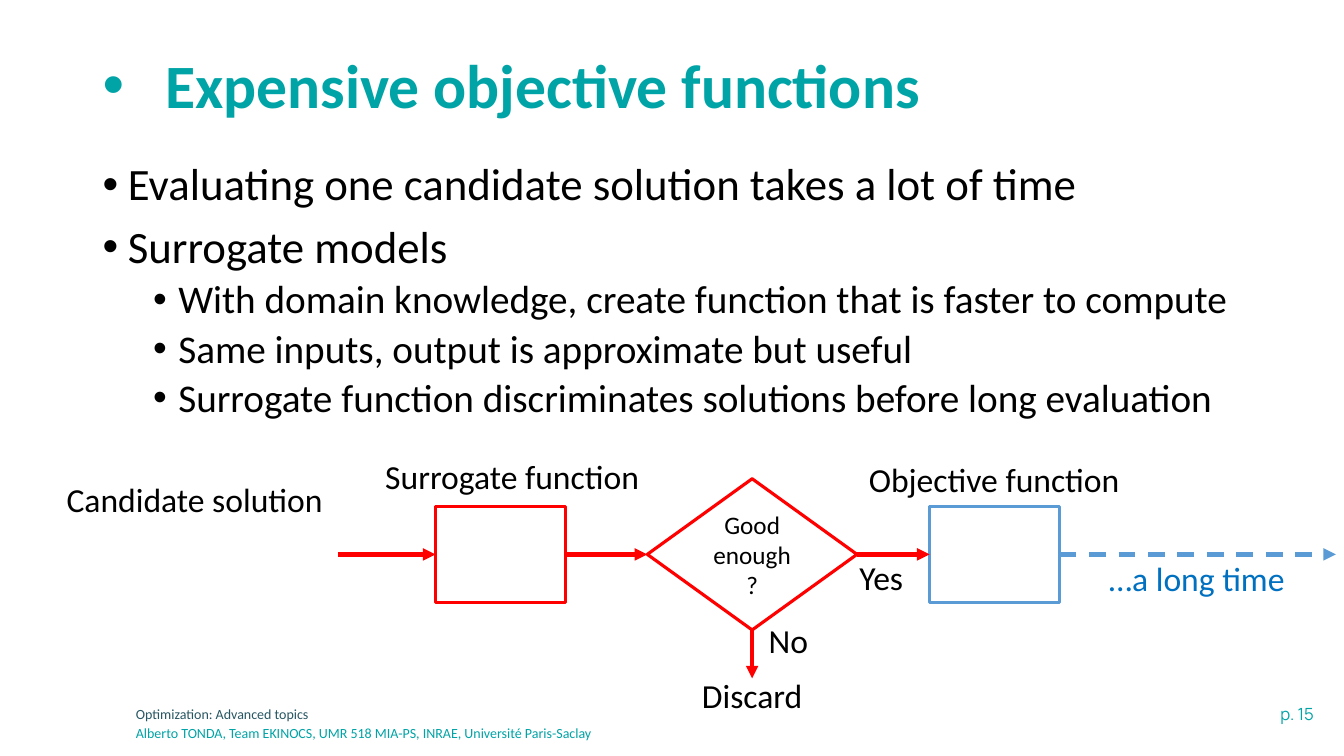
from dataclasses import dataclass
from lxml import etree
from pptx import Presentation
from pptx.dml.color import RGBColor
from pptx.enum.dml import MSO_LINE
from pptx.enum.shapes import MSO_CONNECTOR, MSO_SHAPE
from pptx.enum.text import MSO_ANCHOR, PP_ALIGN
from pptx.oxml.ns import qn
from pptx.util import Inches, Pt

LEFT, MID, RIGHT = PP_ALIGN.LEFT, PP_ALIGN.CENTER, PP_ALIGN.RIGHT
TOP, CENTER = MSO_ANCHOR.TOP, MSO_ANCHOR.MIDDLE
RECT, CHOICE = MSO_SHAPE.RECTANGLE, MSO_SHAPE.FLOWCHART_DECISION
STRAIGHT, DASH = MSO_CONNECTOR.STRAIGHT, MSO_LINE.DASH


@dataclass(frozen=True)
class Theme:
    teal: str = "00A3A6"
    dark: str = "275662"
    black: str = "000000"
    white: str = "FFFFFF"
    red: str = "FF0000"
    blue: str = "5B9BD5"
    deep: str = "0070C0"
    face: str = "Calibri"
    page: str = "Manrope"
    title: int = 44
    body: int = 32
    sub: int = 28
    label: int = 24
    test: int = 18
    number: int = 12
    foot: int = 10
    edge: float = 2.25
    arrow: float = 3


THEME = Theme()


def color(code):
    return RGBColor.from_string(code)


def style(par, size, code=THEME.black, face=THEME.face, bold=False):
    par.font.color.rgb = color(code)
    form = {"name": face, "size": Pt(size), "bold": bold}
    for key, value in form.items():
        setattr(par.font, key, value)


def bullet(par, left, hang):
    """Give a paragraph a hanging round bullet."""
    props = par._p.get_or_add_pPr()
    props.set("marL", str(Inches(left)))
    props.set("indent", str(-Inches(hang)))
    etree.SubElement(props, qn("a:buFont")).set("typeface", "Arial")
    etree.SubElement(props, qn("a:buChar")).set("char", "•")
    par.line_spacing = 0.9


def add_box(slide, box, anchor=TOP):
    frame = slide.shapes.add_textbox(*map(Inches, box)).text_frame
    frame.word_wrap = True
    frame.vertical_anchor = anchor
    return frame


def add_text(slide, box, text, size=THEME.label, align=MID, **form):
    par = add_box(slide, box).paragraphs[0]
    par.text = text
    par.alignment = align
    style(par, size, **form)


def add_node(slide, kind, box, code):
    node = slide.shapes.add_shape(kind, *map(Inches, box))
    node.shadow.inherit = False
    node.fill.solid()
    node.fill.fore_color.rgb = color(THEME.white)
    node.line.color.rgb = color(code)
    node.line.width = Pt(THEME.edge)
    return node


def add_arrow(slide, start, end, code=THEME.red, dash=None):
    link = slide.shapes.add_connector(STRAIGHT, *map(Inches, start + end))
    link.line.color.rgb = color(code)
    link.line.width = Pt(THEME.arrow)
    if dash:
        link.line.dash_style = dash
    edge = link.line._get_or_add_ln()
    etree.SubElement(edge, qn("a:tailEnd")).set("type", "triangle")
    etree.SubElement(link._element.spPr, qn("a:effectLst"))


def draw_title(slide, box):
    par = add_box(slide, box, CENTER).paragraphs[0]
    par.text = "Expensive objective functions"
    bullet(par, 0.62, 0.62)
    style(par, THEME.title, THEME.teal, bold=True)


def draw_body(slide, box):
    items = [
        (0, "Evaluating one candidate solution takes a lot of time"),
        (0, "Surrogate models"),
        (1, "With domain knowledge, create function that is faster to compute"),
        (1, "Same inputs, output is approximate but useful"),
        (1, "Surrogate function discriminates solutions before long evaluation"),
    ]
    # Left indent, space before and type size of each level
    levels = [(0.25, 10, THEME.body), (0.75, 5, THEME.sub)]
    frame = add_box(slide, box)
    for i, (level, text) in enumerate(items):
        left, gap, size = levels[level]
        par = frame.add_paragraph() if i else frame.paragraphs[0]
        par.text = text
        par.level = level
        bullet(par, left, 0.25)
        if i:
            par.space_before = Pt(gap)
        style(par, size)


def draw_flow(slide, box):
    x, y, wide, _ = box
    axis = y + 1.03
    node_w, node_h = 1.29, 0.95
    test_w, test_h = 2.08, 1.5
    first, test, last = x + 3.91, x + 6.01, x + 8.81
    mid, low = test + test_w / 2, axis + test_h / 2

    # Nodes
    for left, code in ((first, THEME.red), (last, THEME.blue)):
        add_node(slide, RECT, (left, axis - node_h / 2, node_w, node_h), code)
    spot = (test, axis - test_h / 2, test_w, test_h)
    frame = add_node(slide, CHOICE, spot, THEME.red).text_frame
    frame.word_wrap = True
    frame.vertical_anchor = CENTER
    par = frame.paragraphs[0]
    par.text = "Good enough?"
    par.alignment = MID
    style(par, THEME.test)

    # Arrows
    for start, end in ((first - 0.97, first), (first + node_w, test),
                       (test + test_w, last)):
        add_arrow(slide, (start, axis), (end, axis))
    add_arrow(slide, (mid, low), (mid, low + 0.48))
    add_arrow(slide, (last + node_w, axis), (x + wide, axis), THEME.blue, DASH)

    # Labels: centre, top, width, text, colour
    labels = [
        (x + 1.52, y + 0.23, 3.04, "Candidate solution", THEME.black),
        (x + 4.67, y, 3.04, "Surrogate function", THEME.black),
        (x + 9.45, y + 0.03, 3.04, "Objective function", THEME.black),
        (x + 11.46, y + 1.02, 2.8, "…a long time", THEME.deep),
        (x + 8.33, y + 1.01, 0.71, "Yes", THEME.black),
        (x + 7.41, y + 1.63, 0.71, "No", THEME.black),
        (mid, y + 2.18, 3.04, "Discard", THEME.black),
    ]
    for center, top, width, text, code in labels:
        add_text(slide, (center - width / 2, top, width, 0.5), text, code=code)


def draw_foot(slide, box):
    x, y, wide, _ = box
    lines = [
        ("Optimization: Advanced topics", THEME.dark),
        ("Alberto TONDA, Team EKINOCS, UMR 518 MIA-PS, INRAE, "
         "Université Paris-Saclay", THEME.teal),
    ]
    for i, (text, code) in enumerate(lines):
        add_text(slide, (x, y + 0.02 + i * 0.19, 7.34, 0.28), text,
                 THEME.foot, LEFT, code=code)
    add_text(slide, (x + wide - 2.28, y, 2.28, 0.3), "p. 15",
             THEME.number, RIGHT, code=THEME.teal, face=THEME.page)


def main():
    deck = Presentation()
    deck.slide_width, deck.slide_height = Inches(13.33), Inches(7.5)
    slide = deck.slides.add_slide(deck.slide_layouts[6])
    draw_foot(slide, (1.25, 6.93, 11.88, 0.49))
    draw_title(slide, (0.92, 0.4, 11.5, 0.95))
    draw_body(slide, (0.92, 1.56, 11.5, 2.8))
    draw_flow(slide, (0.41, 4.47, 12.84, 2.68))
    deck.save("out.pptx")


if __name__ == "__main__":
    main()
